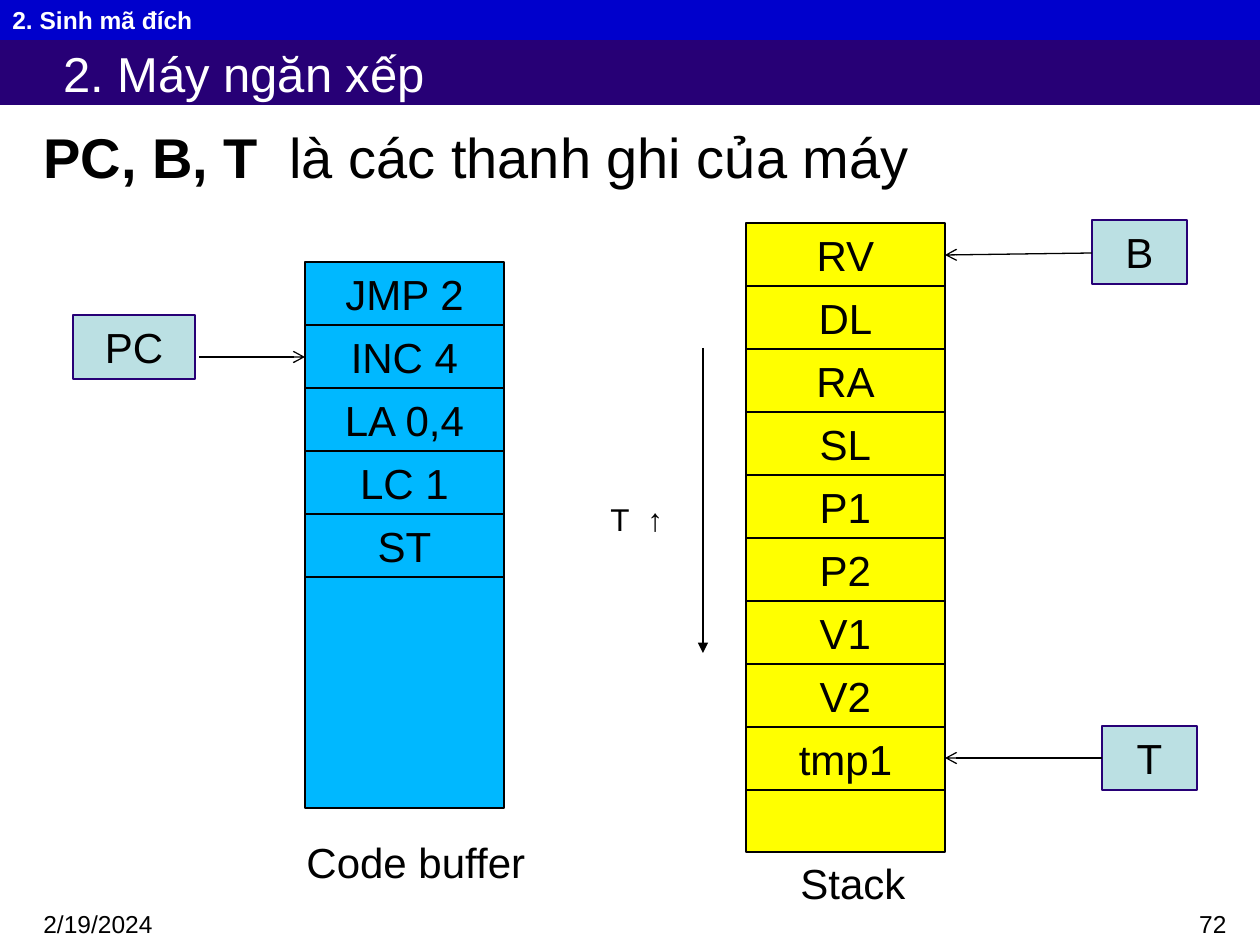
import pptx
import pptx.util
import pptx.dml.color
import pptx.enum.shapes
import pptx.enum.text
import pptx.oxml
import pptx.oxml.ns

PX = 914400 / 126
ROW = 63
WIDE = 199
HUES = {
    "ink": "000000",
    "white": "FFFFFF",
    "bar": "0000CC",
    "title": "270076",
    "code": "00B8FF",
    "stack": "FFFF00",
    "tag": "BBE0E3",
}
ALIGN = pptx.enum.text.PP_ALIGN
ANCHOR = pptx.enum.text.MSO_ANCHOR


def px(num):
    return pptx.util.Emu(round(num * PX))


def hue(name):
    return pptx.dml.color.RGBColor.from_string(HUES[name])


def assign(item, vals):
    for key, val in vals.items():
        setattr(item, key, val)


def place(item, box):
    assign(item, dict(zip(("left", "top", "width", "height"), map(px, box))))


def paint(shape, fill, edge=None):
    shape.fill.solid()
    shape.fill.fore_color.rgb = hue(fill)
    if edge:
        shape.line.color.rgb = hue(edge)
        shape.line.width = pptx.util.Pt(0.75)
    else:
        shape.line.fill.background()


def write(shape, runs, size, align=ALIGN.LEFT, color="ink", tab=None, **frame):
    base = {"word_wrap": True, "auto_size": pptx.enum.text.MSO_AUTO_SIZE.NONE}
    assign(shape.text_frame, {**base, **frame})
    para = shape.text_frame.paragraphs[0]
    para.alignment = align
    if tab:
        stops = pptx.oxml.parse_xml(
            f'<a:tabLst {pptx.oxml.ns.nsdecls("a")}>'
            f'<a:tab pos="{px(tab)}" algn="l"/></a:tabLst>'
        )
        para._p.get_or_add_pPr().append(stops)
    for text, bold in runs:
        run = para.add_run()
        run.text = text
        look = {"name": "Arial", "size": pptx.util.Pt(size), "bold": bold}
        assign(run.font, look)
        run.font.color.rgb = hue(color)


def block(slide, box, fill, edge=None):
    kind = pptx.enum.shapes.MSO_SHAPE.RECTANGLE
    shape = slide.shapes.add_shape(kind, *map(px, box))
    shape.shadow.inherit = False
    paint(shape, fill, edge)
    return shape


def cell(slide, box, text, fill, edge="ink"):
    shape = block(slide, box, fill, edge)
    if text:
        write(shape, [(text, False)], 24, ALIGN.CENTER,
              vertical_anchor=ANCHOR.MIDDLE)


def column(slide, left, top, words, fill, rest):
    for num, word in enumerate(words):
        cell(slide, (left, top + num * ROW, WIDE, ROW), word, fill)
    cell(slide, (left, top + len(words) * ROW, WIDE, rest), "", fill)


def label(slide, box, runs, size, **look):
    write(slide.shapes.add_textbox(*map(px, box)), runs, size, **look)


def arrow(slide, ends, head):
    kind = pptx.enum.shapes.MSO_CONNECTOR.STRAIGHT
    line = slide.shapes.add_connector(kind, *map(px, ends))
    line.line.color.rgb = hue("ink")
    line.line.width = pptx.util.Pt(0.75)
    space = pptx.oxml.ns.nsdecls("a")
    tip = pptx.oxml.parse_xml(f'<a:tailEnd {space} type="{head}"/>')
    line.line._get_or_add_ln().append(tip)
    line._element.spPr.append(pptx.oxml.parse_xml(f"<a:effectLst {space}/>"))


def banner(slide):
    bar = block(slide, (0, 0, 1260, 40), "bar")
    write(bar, [("2. Sinh mã đích", True)], 14, color="white",
          vertical_anchor=ANCHOR.MIDDLE)
    title = slide.shapes.title
    place(title, (0, 40, 1260, 65))
    paint(title, "title")
    write(title, [("2. Máy ngăn xếp", False)], 28, color="white",
          vertical_anchor=ANCHOR.MIDDLE, margin_left=px(63),
          margin_top=0, margin_bottom=0)


def main():
    deck = pptx.Presentation()
    assign(deck, {"slide_width": px(1260), "slide_height": px(945)})
    slide = deck.slides.add_slide(deck.slide_layouts[5])
    banner(slide)
    label(slide, (31, 116, 1124, 80),
          [("PC, B, T", True), ("\tlà các thanh ghi của máy", False)],
          32, tab=246)

    code = ("JMP 2", "INC 4", "LA 0,4", "LC 1", "ST")
    column(slide, 305, 262, code, "code", 231)
    stack = ("RV", "DL", "RA", "SL", "P1", "P2", "V1", "V2", "tmp1")
    column(slide, 746, 223, stack, "stack", 62)

    tags = (("PC", 73, 315, 122), ("B", 1092, 220, 95), ("T", 1102, 726, 95))
    for text, left, top, wide in tags:
        cell(slide, (left, top, wide, 64), text, "tag", "title")

    arrow(slide, (199, 357, 305, 357), "arrow")
    arrow(slide, (1092, 253, 945, 255), "arrow")
    arrow(slide, (1102, 758, 945, 758), "arrow")
    arrow(slide, (703, 348, 703, 653), "triangle")

    label(slide, (598, 494, 84, 50), [("T\t↑", False)], 18, tab=37)
    label(slide, (788, 851, 130, 63), [("Stack", False)], 24, word_wrap=False)
    label(slide, (294, 830, 244, 63), [("Code buffer", False)], 24,
          word_wrap=False)
    label(slide, (31, 903, 242, 42), [("2/19/2024", False)], 14)
    label(slide, (977, 903, 262, 30), [("72", False)], 14, align=ALIGN.RIGHT)
    deck.save("out.pptx")


if __name__ == "__main__":
    main()
